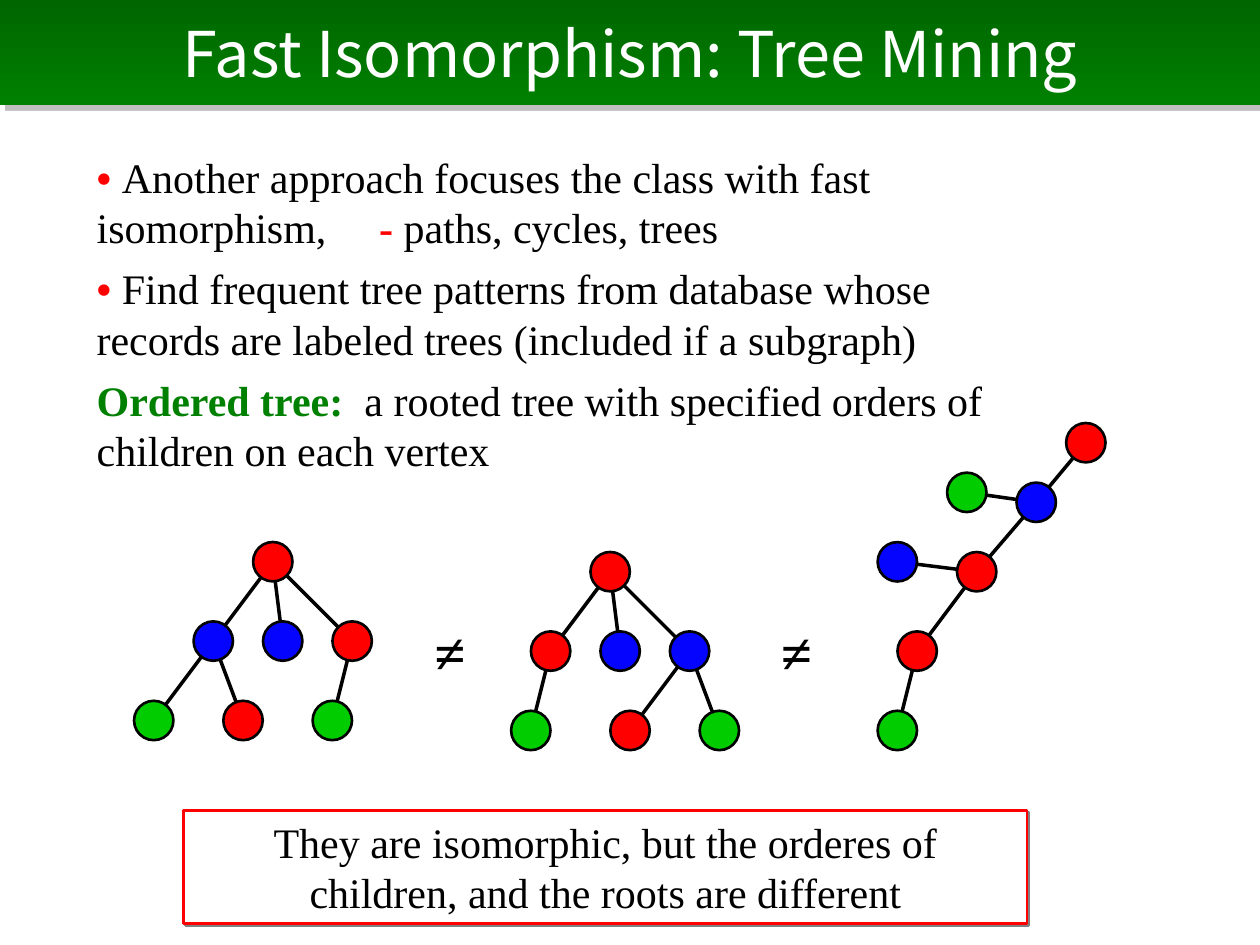
from lxml.etree import SubElement
from pptx import Presentation
from pptx.dml.color import RGBColor
from pptx.enum.shapes import MSO_CONNECTOR, MSO_SHAPE
from pptx.enum.text import MSO_ANCHOR, PP_ALIGN
from pptx.oxml.ns import qn
from pptx.util import Pt

COLORS = {
    "black": "000000", "white": "FFFFFF", "gray": "808080",
    "red": "FF0000", "blue": "0505FF", "lime": "00CC00",
    "green": "008000", "dark green": "006600",
}
SERIF = "Times New Roman"
SANS = "Noto Sans CJK JP"


def rgb(name):
    return RGBColor.from_string(COLORS[name])


class SlideBuilder:
    """Holds the style and the current slide."""
    step = 5.67        # grid unit of the trees
    diameter = 22.5    # vertex size
    edge_width = 2
    outline_width = 1.5

    def __init__(self, slide):
        self.slide = slide

    def fill_text(self, shape, paragraphs, size=24, font=SERIF, alignment=PP_ALIGN.LEFT,
                  space_before=0, **formats):
        """Each paragraph is a list of (text, color, bold) runs."""
        frame = shape.text_frame
        for name, value in {"word_wrap": True, **formats}.items():
            setattr(frame, name, value)
        for index, runs in enumerate(paragraphs):
            paragraph = frame.add_paragraph() if index else frame.paragraphs[0]
            paragraph.alignment = alignment
            if index:
                paragraph.space_before = Pt(space_before)
            for text, color, bold in runs:
                run = paragraph.add_run()
                run.text = text
                run.font.color.rgb = rgb(color)
                style = {"name": font, "size": Pt(size), "bold": bold}
                for name, value in style.items():
                    setattr(run.font, name, value)

    def text(self, box, paragraphs, **formats):
        shape = self.slide.shapes.add_textbox(*map(Pt, box))
        self.fill_text(shape, paragraphs, **formats)

    def panel(self, box, paragraphs, fill, line=None, shadow=(100, 1.4), **formats):
        shape = self.slide.shapes.add_shape(MSO_SHAPE.RECTANGLE, *map(Pt, box))
        if len(fill) == 2:
            shape.fill.gradient()
            shape.fill.gradient_angle = 270
            for stop, color in zip(shape.fill.gradient_stops, fill):
                stop.color.rgb = rgb(color)
        else:
            shape.fill.solid()
            shape.fill.fore_color.rgb = rgb(fill[0])
        if line:
            shape.line.color.rgb = rgb(line)
            shape.line.width = Pt(self.outline_width)
        else:
            shape.line.fill.background()
        self.cast_shadow(shape, *shadow)
        self.fill_text(shape, paragraphs, alignment=PP_ALIGN.CENTER, **formats)

    def cast_shadow(self, shape, opacity, distance):
        shape.shadow.inherit = False
        effects = shape._element.spPr.find(qn("a:effectLst"))
        shadow = SubElement(effects, qn("a:outerShdw"), blurRad="0",
                            dist=str(Pt(distance)), dir="2700000",
                            algn="ctr", rotWithShape="0")
        color = SubElement(shadow, qn("a:srgbClr"), val=COLORS["gray"])
        SubElement(color, qn("a:alpha"), val=str(opacity * 1000))

    def edge(self, group, start, end):
        line = group.shapes.add_connector(
            MSO_CONNECTOR.STRAIGHT, *map(Pt, (*start, *end)))
        line.line.color.rgb = rgb("black")
        line.line.width = Pt(self.edge_width)
        SubElement(line._element.spPr, qn("a:effectLst"))

    def vertex(self, group, center, color):
        left, top = (value - self.diameter / 2 for value in center)
        shape = group.shapes.add_shape(
            MSO_SHAPE.OVAL, Pt(left), Pt(top), Pt(self.diameter), Pt(self.diameter))
        shape.shadow.inherit = False
        shape.fill.solid()
        shape.fill.fore_color.rgb = rgb(color)
        shape.line.color.rgb = rgb("black")
        shape.line.width = Pt(self.outline_width)

    def tree(self, root, vertices):
        """Each vertex is (column, row, color, parent index), relative to the root."""
        group = self.slide.shapes.add_group_shape()
        centers = [(root[0] + column * self.step, root[1] + row * self.step)
                   for column, row, *_ in vertices]
        for center, (*_, parent) in zip(centers, vertices):
            if parent is not None:
                self.edge(group, centers[parent], center)
        for center, (_, _, color, _) in zip(centers, vertices):
            self.vertex(group, center, color)


# Root position, then the vertices of each tree
TREES = [
    ((155.9, 321), [
        (0, 0, "red", None), (-6, 8, "blue", 0), (1, 8, "blue", 0),
        (8, 8, "red", 0), (-12, 16, "lime", 1), (-3, 16, "red", 1),
        (6, 16, "lime", 3)]),
    ((348.7, 326.7), [
        (0, 0, "red", None), (-6, 8, "red", 0), (1, 8, "blue", 0),
        (8, 8, "blue", 0), (-8, 16, "lime", 1), (2, 16, "red", 3),
        (11, 16, "lime", 3)]),
    ((620.5, 253), [
        (0, 0, "red", None), (-5, 6, "blue", 0), (-12, 5, "lime", 1),
        (-11, 13, "red", 1), (-19, 12, "blue", 3), (-17, 21, "red", 3),
        (-19, 29, "lime", 5)]),
]


def main():
    presentation = Presentation()
    presentation.slide_width, presentation.slide_height = Pt(720), Pt(540)
    slide = presentation.slides.add_slide(presentation.slide_layouts[6])
    builder = SlideBuilder(slide)

    # Explanation
    bullet = ("• ", "red", True)
    builder.text((48.2, 77, 566.6, 198.7), [
        [bullet,
         ("Another approach focuses the class with fast isomorphism, 　", "black", False),
         ("- ", "red", True), ("paths, cycles, trees", "black", False)],
        [bullet,
         ("Find frequent tree patterns from database whose records are "
          "labeled trees (included if a subgraph)", "black", False)],
        [("Ordered tree: ", "green", True),
         (" a rooted tree with specified orders of children on each vertex",
          "black", False)],
    ], space_before=6, margin_top=Pt(9.6))

    # Title band
    builder.panel((0, 0, 720, 60), [[("Fast Isomorphism: Tree Mining", "white", False)]],
                  fill=("dark green", "green"), shadow=(50, 4.2), size=36, font=SANS,
                  vertical_anchor=MSO_ANCHOR.MIDDLE)

    # Trees and the signs between them
    for root, vertices in TREES:
        builder.tree(root, vertices)
    for left in (241.2, 439.2):
        builder.text((left, 349.2, 28.1, 46.1), [[("≠", "black", True)]],
                     size=32, word_wrap=False)

    # Conclusion
    builder.panel((105, 463, 481.9, 64.8), [[
        ("They are isomorphic, but the orderes of children, "
         "and the roots are different", "black", False)]],
        fill=("white",), line="red", vertical_anchor=MSO_ANCHOR.TOP)

    presentation.save("out.pptx")


if __name__ == "__main__":
    main()
